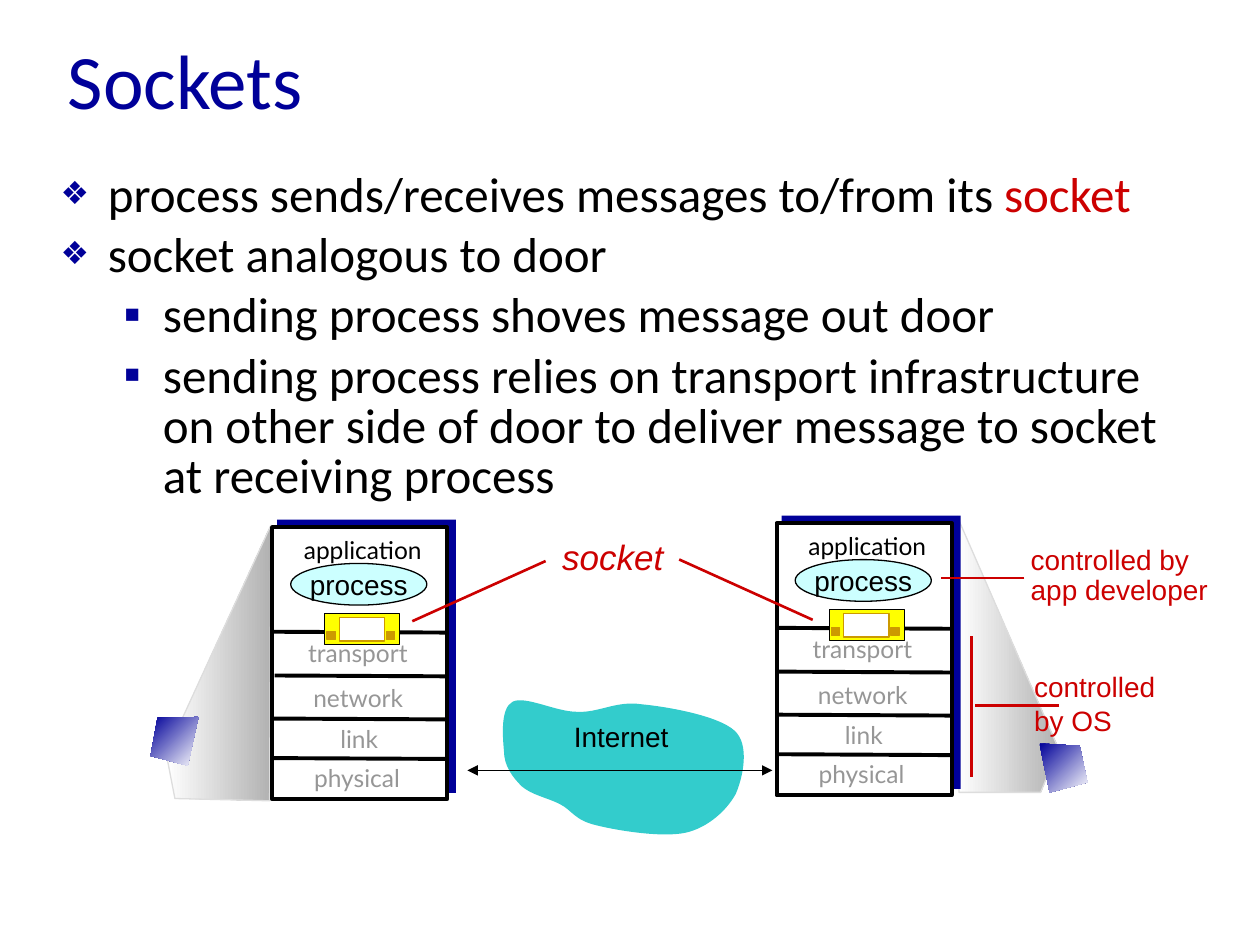
import pptx
import pptx.util
import pptx.dml.color
import pptx.enum.shapes
import pptx.enum.text
import pptx.oxml
import pptx.oxml.ns

Pt = pptx.util.Pt
SHAPE = pptx.enum.shapes.MSO_SHAPE
ALIGN = pptx.enum.text.PP_ALIGN
ANCHOR = pptx.enum.text.MSO_ANCHOR
FIT = pptx.enum.text.MSO_AUTO_SIZE

NAVY, RED, BLACK, WHITE, GREY, GOLD = "000099", "CC0000", "000000", "FFFFFF", "969696", "CC9900"

TITLE = "Sockets"
POINTS = [
    (0, [("process sends/receives messages to/from its ", BLACK), ("socket", RED)]),
    (0, [("socket analogous to door", BLACK)]),
    (1, [("sending process shoves message out door", BLACK)]),
    (1, [("sending process relies on transport infrastructure on other side of door "
          "to deliver message to socket at receiving process", BLACK)]),
]
BULLETS = [("❖", 65, 27, -27), ("▪", 100, 58.5, -22.5)]

HOSTS = [(155.5, 301.2), (443.8, 299)]
LAYERS = [("application", 0, -0.8, BLACK), ("transport", -2.8, 58.1, GREY),
          ("network", -2.6, 84.1, GREY), ("link", -2, 107.2, GREY),
          ("physical", -3.3, 129.4, GREY)]
RULES = [(0.8, 59.8), (1.4, 84.8), (0, 109.4), (0, 132)]
SOCKET = [(30, 49.2, 43, 18, "FFFF00", BLACK), (38.3, 51.6, 26, 13.5, WHITE, GOLD),
          (65.3, 59.5, 4.7, 4.8, GOLD, GOLD), (31.4, 59.5, 4.7, 4.8, GOLD, GOLD)]

CONES = [
    [(604.8, 427.7), (547, 295.2), (548, 452.8), (594.7, 452.8)],
    [(95, 430.6), (154.8, 300.2), (154.1, 457.6), (100, 456.3)],
]
DOORS = [
    [(113.4, 409.7), (90, 410.2), (86, 432), (107.3, 437.6)],
    [(594, 424.8), (617, 426.2), (621.4, 447.1), (599.8, 452.9)],
]
CLOUD = [(288, 429.1), (287.3, 421.2), (285.8, 404.6), (293, 401), (300.2, 397.4),
         (317.5, 406.8), (329.8, 406.8), (342, 407.5), (352.1, 400.3), (366.5, 402.5),
         (381.6, 403.9), (410.4, 409), (419.8, 417.6), (428.4, 425.5), (424.8, 443.5),
         (420.5, 453.6), (415.4, 463), (404.6, 473), (391.7, 475.9), (378, 478.8),
         (352.1, 474.5), (340.6, 471.6), (328.3, 468.7), (326.9, 463), (319.7, 459.4),
         (312.5, 455.8), (303.8, 454.3), (298.1, 449.3), (293, 444.2), (288, 437.8),
         (288, 429.1)]

NOTES = [
    ((320.4, 407.5, 69.1, 26.6), ["Internet"], 16, BLACK, ALIGN.CENTER, 1, False),
    ((583.9, 379.2, 83.5, 64.8), ["controlled", "by OS"], 16, RED, ALIGN.LEFT, 1, False),
    ((581.9, 308.4, 115.9, 41.8), ["controlled by", "app developer"], 16, RED, ALIGN.LEFT, 0.9, False),
    ((314.1, 305.3, 72.4, 28.8), ["socket"], 20, RED, ALIGN.LEFT, 0.9, True),
]
LEADERS = [(585.4, 330.3, 537.8, 330.3), (555.3, 363.6, 555.3, 444.2), (605.3, 403.2, 557.3, 403.2),
           (235.6, 355, 311.8, 320.6), (464.4, 354.2, 388.1, 319.7)]


def rgb(code):
    return pptx.dml.color.RGBColor.from_string(code)


def node(tag, **attrs):
    item = pptx.oxml.parse_xml(f"<a:{tag} {pptx.oxml.ns.nsdecls('a')}/>")
    for key, value in attrs.items():
        item.set(key, str(value))
    return item


def write(para, text, size, font, color, slant=False):
    run = para.add_run()
    run.text = text
    run.font.size = Pt(size)
    run.font.name = font
    if slant:
        run.font.italic = True
    run.font.color.rgb = rgb(color)


def place(shape, *rect):
    shape.left, shape.top, shape.width, shape.height = map(Pt, rect)


def paint(shape, fill, line=None, width=0.75, angle=0):
    shape.shadow.inherit = False
    if isinstance(fill, tuple):
        shape.fill.gradient()
        shape.fill.gradient_angle = angle
        for stop, color, pos in zip(shape.fill.gradient_stops, fill, (0, 1)):
            stop.color.rgb = rgb(color)
            stop.position = pos
    else:
        shape.fill.solid()
        shape.fill.fore_color.rgb = rgb(fill)
    if line:
        shape.line.color.rgb = rgb(line)
        shape.line.width = Pt(width)
    else:
        shape.line.fill.background()


def box(home, rect, fill, line=None, width=0.75, kind=SHAPE.RECTANGLE):
    shape = home.add_shape(kind, *map(Pt, rect))
    paint(shape, fill, line, width)
    return shape


def label(home, rect, lines, size, font, color, align, gap, slant=False, wrap=False):
    frame = home.add_textbox(*map(Pt, rect)).text_frame
    frame.word_wrap = wrap
    frame.auto_size = FIT.SHAPE_TO_FIT_TEXT
    for i, text in enumerate(lines):
        para = frame.add_paragraph() if i else frame.paragraphs[0]
        para.alignment = align
        para.line_spacing = gap
        write(para, text, size, font, color, slant)


def link(home, ends, color, width, arrows=False):
    line = home.add_connector(pptx.enum.shapes.MSO_CONNECTOR.STRAIGHT, *map(Pt, ends))
    line.line.color.rgb = rgb(color)
    line.line.width = Pt(width)
    if arrows:
        for tag in ("headEnd", "tailEnd"):
            line.line._get_or_add_ln().append(node(tag, type="triangle"))
    line._element.spPr.append(node("effectLst"))


def outline(home, dots, fill, line=None, angle=0):
    dots = [(Pt(x), Pt(y)) for x, y in dots]
    form = home.build_freeform(*dots[0])
    form.add_line_segments(dots[1:], close=dots[0] != dots[-1])
    shape = form.convert_to_shape()
    paint(shape, fill, line, angle=angle)
    return shape


def bend(shape):
    legs = list(shape._element.iter(pptx.oxml.ns.qn("a:lnTo")))
    home = legs[0].getparent()
    for i in range(0, len(legs), 3):
        arc = node("cubicBezTo")
        for leg in legs[i:i + 3]:
            arc.append(leg[0])
            home.remove(leg)
        home.append(arc)
    home.append(node("close"))


def host(home, x, y):
    box(home, (x + 2.9, y - 4.3, 102.2, 156.2), NAVY)
    box(home, (x, y, 100, 155.5), WHITE, BLACK, 2.25)
    for dx, dy in RULES:
        link(home, (x + dx, y + dy, x + dx + 99.4, y + dy + 0.5), BLACK, 2.25)
    for text, dx, dy, color in LAYERS:
        label(home, (x + dx, y + dy, 103.7, 25.9), [text], 14, "Lato", color,
              ALIGN.CENTER, 1.1, wrap=True)
    oval = box(home, (x + 10.6, y + 20.8, 77.8, 23.8), "CCFFFF", BLACK, kind=SHAPE.OVAL)
    frame = oval.text_frame
    frame.word_wrap = False
    frame.vertical_anchor = ANCHOR.MIDDLE
    frame.paragraphs[0].alignment = ALIGN.CENTER
    write(frame.paragraphs[0], "process", 16, "Arial", BLACK)
    group = home.add_group_shape().shapes
    for dx, dy, w, h, fill, line in SOCKET:
        box(group, (x + dx, y + dy, w, h), fill, line)


def fill_text(slide):
    title, body = slide.placeholders
    place(title, 31.5, 9.8, 635.8, 70.4)
    title.text_frame.vertical_anchor = ANCHOR.MIDDLE
    title.text_frame.paragraphs[0].alignment = ALIGN.LEFT
    write(title.text_frame.paragraphs[0], TITLE, 44, "Calibri", NAVY)
    place(body, 27.4, 95, 648, 183.6)
    body.text_frame.auto_size = FIT.NONE
    for i, (level, runs) in enumerate(POINTS):
        para = body.text_frame.add_paragraph() if i else body.text_frame.paragraphs[0]
        para.level = level
        mark, size, left, hang = BULLETS[level]
        props = para._p.get_or_add_pPr()
        props.set("marL", str(Pt(left)))
        props.set("indent", str(Pt(hang)))
        tint = node("buClr")
        tint.append(node("srgbClr", val=NAVY))
        for item in (tint, node("buSzPct", val=size * 1000),
                     node("buFont", typeface="Arial"), node("buChar", char=mark)):
            props.append(item)
        para.line_spacing = 0.85
        para.space_before = Pt(5.8 if i else 0)
        for text, color in runs:
            write(para, text, 28, "Calibri", color)


def main():
    deck = pptx.Presentation()
    deck.slide_width, deck.slide_height = Pt(720), Pt(540)
    slide = deck.slides.add_slide(deck.slide_layouts[1])
    home = slide.shapes
    fill_text(slide)
    right, left = CONES
    outline(home, right, (WHITE, "B2B2B2"), "DDDDDD")
    bend(outline(home, CLOUD, "33CCCC"))
    link(home, (267.1, 440.2, 441.4, 440.2), BLACK, 0.75, arrows=True)
    outline(home, left, (WHITE, "B2B2B2"), "DDDDDD")
    for x, y in HOSTS:
        host(home, x, y)
    for note in NOTES:
        rect, lines, size, color, align, gap, slant = note
        label(home, rect, lines, size, "Arial", color, align, gap, slant)
    for ends in LEADERS:
        link(home, ends, RED, 1.5)
    for dots in DOORS:
        outline(home.add_group_shape().shapes, dots, (NAVY, WHITE), angle=315)
    deck.save("out.pptx")


if __name__ == "__main__":
    main()
